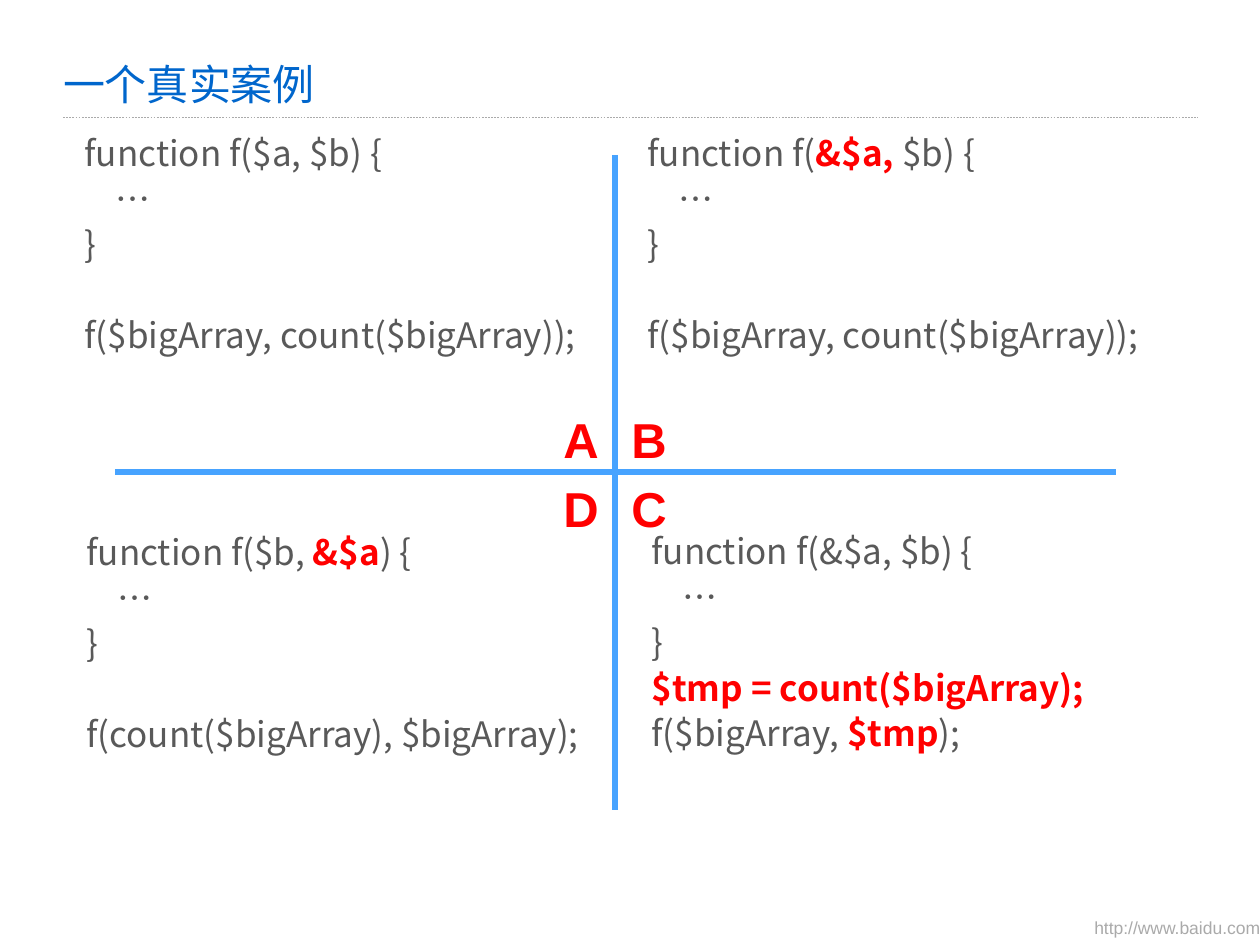
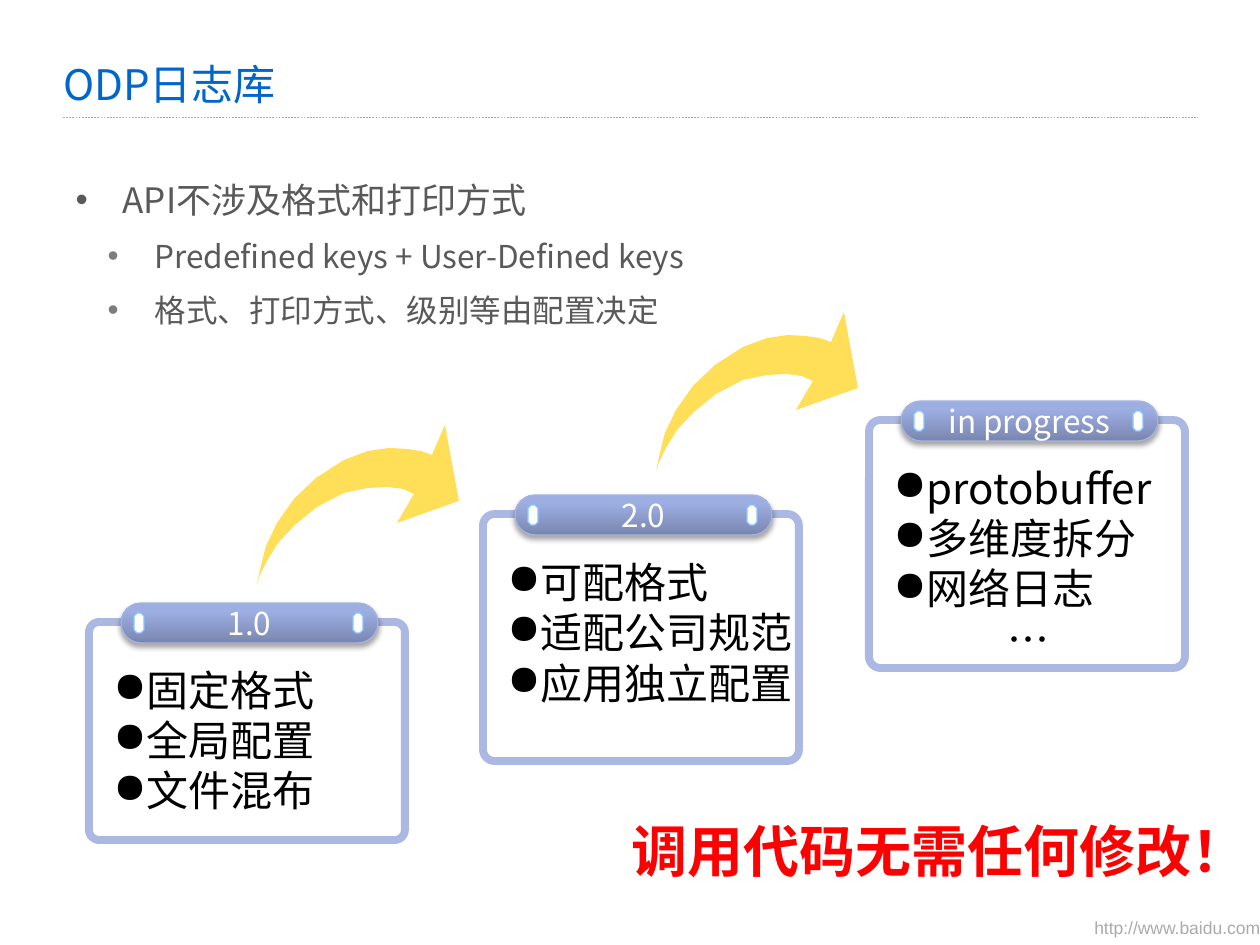
from lxml import etree
from pptx import Presentation
from pptx import util as u
from pptx.dml.color import RGBColor
from pptx.enum import dml, shapes, text
from pptx.oxml.ns import qn

PX = 914400 / 126
SANS, ARIAL = "Noto Sans CJK SC", "Arial"
COLORS = {
    "title": "0066CC", "body": "595959", "sub_bullet": "7D7D7D", "accent": "FF0000",
    "footer": "AAAAAA", "axis": "47A3FF", "arrow": "FFDE58", "frame": "AAB8E2",
    "tab_dark": "7986AF", "tab_light": "9DAEE3", "tab_edge": "A5B3DE",
    "pin_edge": "85C2FF", "white": "FFFFFF", "black": "000000",
}

FOOTER = "http://www.baidu.com"
CASE_TITLE = "一个真实案例"
# Backquotes enclose the highlighted part of a code line; "" is an empty line.
CASE_CODE = [
    ((72, 157), ["function f($a, $b) {", "    …", "}", "",
                 "f($bigArray, count($bigArray));"]),
    ((74, 556), ["function f($b, `&$a`) {", "    …", "}", "",
                 "f(count($bigArray), $bigArray);"]),
    ((635, 157), ["function f(`&$a, `$b) {", "    …", "}", "",
                  "f($bigArray, count($bigArray));"]),
    ((639, 555), ["function f(&$a, $b) {", "    …", "}",
                  "`$tmp = count($bigArray);`", "f($bigArray, `$tmp`);"]),
]
CASE_AXES = [(115, 472, 1116, 472), (615, 155, 615, 810)]
CASE_LETTERS = [["A", "B"], ["D", "C"]]

LOG_TITLE = "ODP日志库"
LOG_POINTS = [
    (0, "API不涉及格式和打印方式"),
    (1, "Predefined keys + User-Defined keys"),
    (1, "格式、打印方式、级别等由配置决定"),
]
# label, frame left, frame top, frame height, list width, items
VERSIONS = [
    ("1.0", 89, 622, 218, 294, ["固定格式", "全局配置", "文件混布"]),
    ("2.0", 483, 514, 247, 326, ["可配格式", "适配公司规范", "应用独立配置"]),
    ("in progress", 869, 420, 248, 294, ["protobuffer", "多维度拆分", "网络日志", "…"]),
]
SWOOSH_ORIGINS = [(257, 425), (656, 312)]
SWOOSH = [
    (0, 159), (3, 150), (10, 136), (21, 118), (38, 100), (60, 82), (87, 68), (111, 63),
    (131, 62), (146, 64), (157, 69), (140, 98), (202, 76), (188, 0), (175, 30), (164, 26),
    (150, 24), (132, 23), (111, 26), (87, 35), (59, 53), (37, 74), (20, 98), (9, 121),
    (4, 141),
]
LOG_NOTE = "调用代码无需任何修改！"


def px(*lengths):
    return [round(length * PX) for length in lengths]


def rgb(name):
    return RGBColor.from_string(COLORS[name])


def style(para, size, color, font=SANS, bold=False):
    for span in para.runs:
        span.font.size, span.font.bold, span.font.name = u.Pt(size), bold, font
        span.font.color.rgb = rgb(color)
        latin = span.font._element.find(qn("a:latin"))
        east_asian = etree.Element(qn("a:ea"), typeface=font)
        latin.addnext(east_asian)


def set_bullet(para, char=None, margin=0, hanging=0, color=None):
    """Set the bullet and indent; no char means no bullet."""
    props = para._p.get_or_add_pPr()
    props.set("marL", str(px(margin)[0]))
    props.set("indent", str(px(-hanging)[0]))
    if color:
        tint = etree.SubElement(props, qn("a:buClr"))
        etree.SubElement(tint, qn("a:srgbClr"), val=COLORS[color])
    if char:
        etree.SubElement(props, qn("a:buChar"), char=char)
    else:
        etree.SubElement(props, qn("a:buNone"))


def space(para, line, before=0):
    para.line_spacing, para.space_before = u.Pt(line), u.Pt(before)


def place(box, left, top, width, height):
    box.left, box.top, box.width, box.height = px(left, top, width, height)


def paragraphs(frame, count):
    return [frame.paragraphs[0]] + [frame.add_paragraph() for _ in range(count - 1)]


def add_text(page, left, top, width, height):
    frame = page.shapes.add_textbox(*px(left, top, width, height)).text_frame
    frame.word_wrap = True
    return frame


def add_line(page, ends, color, weight):
    line = page.shapes.add_connector(shapes.MSO_CONNECTOR.STRAIGHT, *px(*ends))
    line.line.color.rgb, line.line.width = rgb(color), u.Pt(weight)
    etree.SubElement(line._element.spPr, qn("a:effectLst"))
    return line


def add_preset(page, kind, bounds, edge, weight, fill=None):
    shape = page.shapes.add_shape(kind, *px(*bounds))
    shape.shadow.inherit = False
    if fill:
        shape.fill.solid()
        shape.fill.fore_color.rgb = rgb(fill)
    else:
        shape.fill.background()
    shape.line.color.rgb, shape.line.width = rgb(edge), u.Pt(weight)
    return shape


def add_page(deck, title):
    """Add a slide with the shared footer, rule and title; return it and its body."""
    page = deck.slides.add_slide(deck.slide_layouts[1])
    footer = add_text(page, 1081, 911, 179, 34)
    footer.margin_right = 0
    footer.text = FOOTER
    footer.paragraphs[0].alignment = text.PP_ALIGN.RIGHT
    style(footer.paragraphs[0], 10, "footer", ARIAL)
    add_line(page, (63, 117, 1198, 117), "footer", 0.25).line.dash_style = dml.MSO_LINE.DASH

    heading = page.shapes.title
    place(heading, 63, 50, 979, 66)
    frame = heading.text_frame
    frame.text = title
    frame.margin_left = 0
    frame.vertical_anchor = text.MSO_ANCHOR.BOTTOM
    frame.auto_size = text.MSO_AUTO_SIZE.NONE
    para = frame.paragraphs[0]
    para.alignment, para.line_spacing = text.PP_ALIGN.LEFT, 0.9
    style(para, 24, "title")

    body = page.placeholders[1]
    body.text_frame.auto_size = text.MSO_AUTO_SIZE.NONE
    return page, body


def write_code(frame, lines):
    shown = [(line, i > 0 and not lines[i - 1]) for i, line in enumerate(lines) if line]
    for i, (para, (line, after_gap)) in enumerate(zip(paragraphs(frame, len(shown)), shown)):
        set_bullet(para)
        space(para, 6, 0 if i == 0 else 46 if after_gap else 20)
        for part in line.split("`"):
            para.add_run().text = part
        style(para, 20, "body")
        for span in para.runs[1::2]:
            span.font.bold, span.font.color.rgb = True, rgb("accent")
        for span in para.runs:
            if not span.text:
                para._p.remove(span._r)


def build_case(deck):
    page, body = add_page(deck, CASE_TITLE)
    for i, ((left, top), lines) in enumerate(CASE_CODE):
        bounds = left, top, 586, 334
        if i == 0:
            place(body, *bounds)
        write_code(body.text_frame if i == 0 else add_text(page, *bounds), lines)
    for ends in CASE_AXES:
        add_line(page, ends, "axis", 3)
    for row, letters in enumerate(CASE_LETTERS):
        for column, letter in enumerate(letters):
            frame = add_text(page, 551 + 68 * column, 403 + 69 * row, 62, 72)
            frame.text = letter
            style(frame.paragraphs[0], 28, "accent", ARIAL, True)


def add_tab(page, left, top, label):
    tab = add_preset(page, shapes.MSO_SHAPE.ROUNDED_RECTANGLE, (left, top, 257, 40),
                     "tab_edge", 0.75)
    tab.adjustments[0] = 0.5
    tab.fill.gradient()
    tab.fill.gradient_angle = 90
    for stop, color, position in zip(tab.fill.gradient_stops, ("tab_dark", "tab_light"), (0, 0.8)):
        stop.color.rgb, stop.position = rgb(color), position
    effects = tab._element.spPr.find(qn("a:effectLst"))
    shadow = etree.SubElement(effects, qn("a:outerShdw"), blurRad=str(u.Pt(3.1)),
                              dist=str(u.Pt(1.8)), dir="5400000", rotWithShape="0")
    tint = etree.SubElement(shadow, qn("a:srgbClr"), val=COLORS["black"])
    etree.SubElement(tint, qn("a:alpha"), val="35000")

    frame = tab.text_frame
    frame.margin_top = frame.margin_bottom = 0
    frame.word_wrap = False
    frame.vertical_anchor = text.MSO_ANCHOR.MIDDLE
    frame.text = label
    frame.paragraphs[0].alignment = text.PP_ALIGN.CENTER
    style(frame.paragraphs[0], 18, "white")


def add_version(page, label, left, top, height, list_width, items):
    frame = add_preset(page, shapes.MSO_SHAPE.ROUNDED_RECTANGLE, (left, top, 316, height),
                       "frame", 4.5)
    frame.adjustments[0] = 0.047
    add_tab(page, left + 32, top - 19, label)
    for offset in (264, 45):
        add_preset(page, shapes.MSO_SHAPE.OCTAGON, (left + offset, top - 9, 10, 20),
                   "pin_edge", 0.75, "white")
    box = add_text(page, left + 12, top + 36, list_width, 14 + 51 * len(items))
    for para, item in zip(paragraphs(box, len(items)), items):
        if item == "…":
            para.alignment = text.PP_ALIGN.CENTER
        else:
            set_bullet(para, "●")
        space(para, 28.8)
        para.text = item
        style(para, 24, "black")


def add_swoosh(page, left, top):
    builder = page.shapes.build_freeform(*SWOOSH[0], scale=PX)
    builder.add_line_segments(SWOOSH[1:], close=True)
    arrow = builder.convert_to_shape(*px(left, top))
    arrow.shadow.inherit = False
    arrow.fill.solid()
    arrow.fill.fore_color.rgb = rgb("arrow")
    arrow.line.fill.background()


def build_log(deck):
    page, body = add_page(deck, LOG_TITLE)
    place(body, 63, 172, 1134, 693)
    for i, (para, (level, point)) in enumerate(
            zip(paragraphs(body.text_frame, len(LOG_POINTS)), LOG_POINTS)):
        para.level = level
        set_bullet(para, "•", 47 + 32 * level, 47, "sub_bullet" if level else "body")
        space(para, 22 if level else 24, 9 if i else 0)
        para.text = point
        style(para, 18 if level else 20, "body")
    for version in VERSIONS:
        add_version(page, *version)
    for origin in SWOOSH_ORIGINS:
        add_swoosh(page, *origin)
    note = add_text(page, 619, 811, 648, 112)
    note.text = LOG_NOTE
    space(note.paragraphs[0], 38)
    style(note.paragraphs[0], 32, "accent", bold=True)


def main():
    deck = Presentation()
    deck.slide_width, deck.slide_height = px(1260, 945)
    build_case(deck)
    build_log(deck)
    deck.save("out.pptx")


if __name__ == "__main__":
    main()
